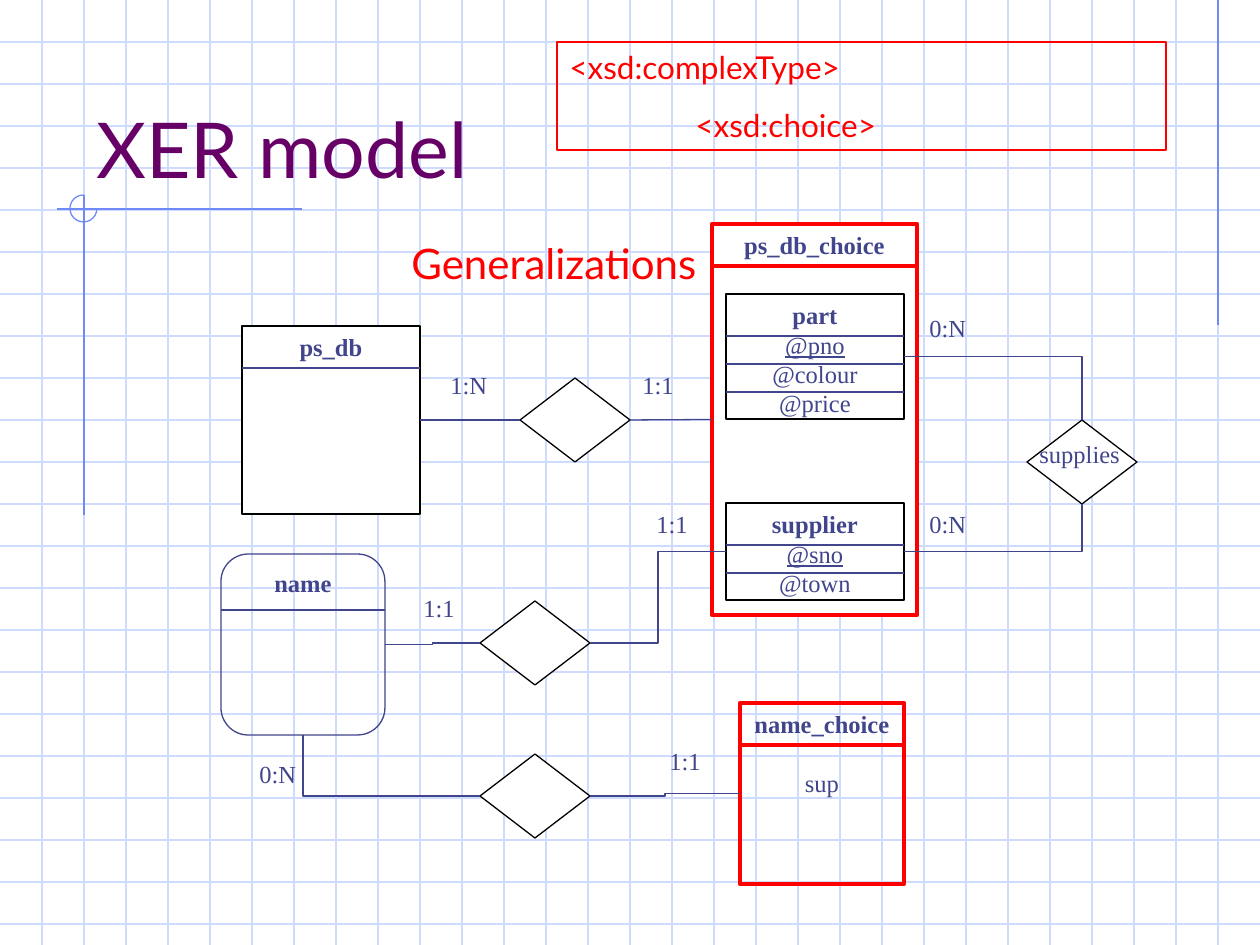
import pptx
import pptx.util
import pptx.dml.color
import pptx.enum.shapes
import pptx.enum.text
import pptx.oxml.ns
import lxml.etree
from dataclasses import dataclass

SHAPE = pptx.enum.shapes.MSO_SHAPE
CONN = pptx.enum.shapes.MSO_CONNECTOR
ALIGN = pptx.enum.text.PP_ALIGN
ANCHOR = pptx.enum.text.MSO_ANCHOR
TOP, LEFT, BOTTOM, RIGHT = range(4)


@dataclass(frozen=True)
class Theme:
    grid: str = "CFDBFD"
    accent: str = "6F89F7"
    title: str = "660066"
    red: str = "FF0000"
    ink: str = "40458C"
    black: str = "000000"
    white: str = "FFFFFF"
    sans: str = "Lato"
    serif: str = "Times New Roman"
    title_size: int = 44
    heading_size: int = 24
    code_size: int = 18
    body_size: int = 14
    thin: float = 0.75
    thick: float = 2.5


T = Theme()
W, H, GRID = 1260, 945, 42
HEADER, ROW = 42, 28
DIAMOND_W, DIAMOND_H = 110, 84
LABEL_W, LABEL_H = 82, 43

ACCENTS = [(1218, 0, 1218, 325), (57, 209, 302, 209), (84, 195, 84, 515)]

# name, box, outline, weight, fill, header height, attributes
ENTITIES = [
    ("ps_db_choice", (712, 224, 205, 391), T.red, T.thick, T.white, HEADER, []),
    ("supplier", (726, 503, 178, 97), T.black, T.thin, T.white, HEADER, ["@sno", "@town"]),
    ("part", (726, 294, 178, 125), T.black, T.thin, T.white, HEADER, ["@pno", "@colour", "@price"]),
    ("name", (221, 554, 164, 181), T.ink, T.thin, None, 56, []),
    ("name_choice", (740, 703, 164, 181), T.red, T.thick, None, HEADER, ["sup"]),
    ("ps_db", (242, 326, 178, 188), T.black, T.thin, T.white, HEADER, []),
]
KEYS = {"@pno", "@sno"}
DIAMONDS = {"supplies": (1027, 420), "contains": (520, 378),
            "supplier name": (480, 601), "name option": (480, 754)}
LINKS = [
    ("part", RIGHT, "supplies", TOP, "bentConnector2"),
    ("supplier", RIGHT, "supplies", BOTTOM, "bentConnector2"),
    ("name option", LEFT, "name", BOTTOM, "bentConnector2"),
    ("supplier name", RIGHT, "supplier", LEFT, "bentConnector3"),
    ("name", RIGHT, "supplier name", LEFT, "bentConnector3"),
    ("name option", RIGHT, "name_choice", LEFT, "bentConnector3"),
    ("ps_db", RIGHT, "contains", LEFT, "line"),
    ("contains", RIGHT, "ps_db_choice", LEFT, "line"),
]
LABELS = [("0:N", 917, 307), ("0:N", 917, 503), ("1:N", 438, 364), ("1:1", 630, 364),
          ("1:1", 411, 587), ("1:1", 644, 503), ("0:N", 247, 753), ("1:1", 657, 740)]

prs = pptx.Presentation()


def px(n):
    return pptx.util.Emu(round(n * 914400 / 126))


def rgb(color):
    return pptx.dml.color.RGBColor.from_string(color)


def stroke(s, color, weight):
    s.line.color.rgb = rgb(color)
    s.line.width = pptx.util.Pt(weight)


def add_line(x1, y1, x2, y2, color, weight=T.thin, kind=CONN.STRAIGHT):
    c = sp.add_connector(kind, px(x1), px(y1), px(x2), px(y2))
    stroke(c, color, weight)
    lxml.etree.SubElement(c._element.spPr, pptx.oxml.ns.qn("a:effectLst"))
    return c


def add_shape(kind, box, color, weight=T.thin, fill=None):
    s = sp.add_shape(kind, *map(px, box))
    s.shadow.inherit = False
    stroke(s, color, weight)
    if fill:
        s.fill.solid()
        s.fill.fore_color.rgb = rgb(fill)
    else:
        s.fill.background()
    return s


def write(s, lines, font, size, color, align=ALIGN.LEFT, anchor=ANCHOR.TOP):
    tf = s.text_frame
    tf.word_wrap = True
    tf.vertical_anchor = anchor
    tf.text = "\n".join(lines)
    for p in tf.paragraphs:
        p.alignment = align
        for r in p.runs:
            r.font.name = font
            r.font.size = pptx.util.Pt(size)
            r.font.color.rgb = rgb(color)
    return tf


def add_text(text, box, font, size, color, anchor=ANCHOR.TOP):
    return write(sp.add_textbox(*map(px, box)), [text], font, size, color, anchor=anchor)


def add_entity(name, box, color, weight, fill, header, attributes):
    x, y, w, h = box
    kind = SHAPE.ROUNDED_RECTANGLE if name == "name" else SHAPE.RECTANGLE
    s = add_shape(kind, box, color, weight, fill)
    tf = write(s, [name, *attributes], T.serif, T.body_size, T.ink, ALIGN.CENTER)
    tf.word_wrap = fill is not None
    tf.paragraphs[0].runs[0].font.bold = True
    for p in tf.paragraphs[1:]:
        p.runs[0].font.underline = p.text in KEYS
        if p.text == "sup":
            p.space_before = pptx.util.Pt(16.5)
    for i in range(max(1, len(attributes))):
        line_y = y + header + i * ROW
        add_line(x, line_y, x + w, line_y, T.red if color == T.red else T.ink, weight)
    return s


prs.slide_width, prs.slide_height = px(W), px(H)
sp = prs.slides.add_slide(prs.slide_layouts[6]).shapes

for y in range(GRID, H, GRID):
    add_line(0, y, W, y, T.grid)
for x in range(GRID, W, GRID):
    add_line(x, 0, x, H, T.grid)
for ends in ACCENTS:
    add_line(*ends, T.accent)
arc = add_shape(SHAPE.ARC, (70, 195, 27, 27), T.accent)
arc.adjustments[0], arc.adjustments[1] = 0, 162

add_text("XER model", (84, 42, 1071, 158), T.sans, T.title_size, T.title, ANCHOR.BOTTOM)

nodes = {e[0]: add_entity(*e) for e in ENTITIES}
for name, (x, y) in DIAMONDS.items():
    nodes[name] = add_shape(SHAPE.DIAMOND, (x, y, DIAMOND_W, DIAMOND_H), T.black, fill=T.white)
add_text("supplies", (1027, 433, DIAMOND_W, LABEL_H), T.serif, T.body_size, T.ink)

for start, start_side, end, end_side, preset in LINKS:
    kind = CONN.STRAIGHT if preset == "line" else CONN.ELBOW
    c = add_line(0, 0, 0, 0, T.ink, kind=kind)
    c.begin_connect(nodes[start], start_side)
    c.end_connect(nodes[end], end_side)
    c._element.spPr.find(pptx.oxml.ns.qn("a:prstGeom")).set("prst", preset)

for text, x, y in LABELS:
    add_text(text, (x, y, LABEL_W, LABEL_H), T.serif, T.body_size, T.ink)
add_text("Generalizations", (399, 231, 315, 113), T.sans, T.heading_size, T.red)

code = add_shape(SHAPE.RECTANGLE, (557, 42, 609, 108), T.red)
tf = write(code, ["<xsd:complexType>", "<xsd:choice>"], T.sans, T.code_size, T.red)
choice = tf.paragraphs[1]
choice.space_before = pptx.util.Pt(11.2)
choice._p.get_or_add_pPr().set("marL", str(px(126)))

prs.save("out.pptx")
